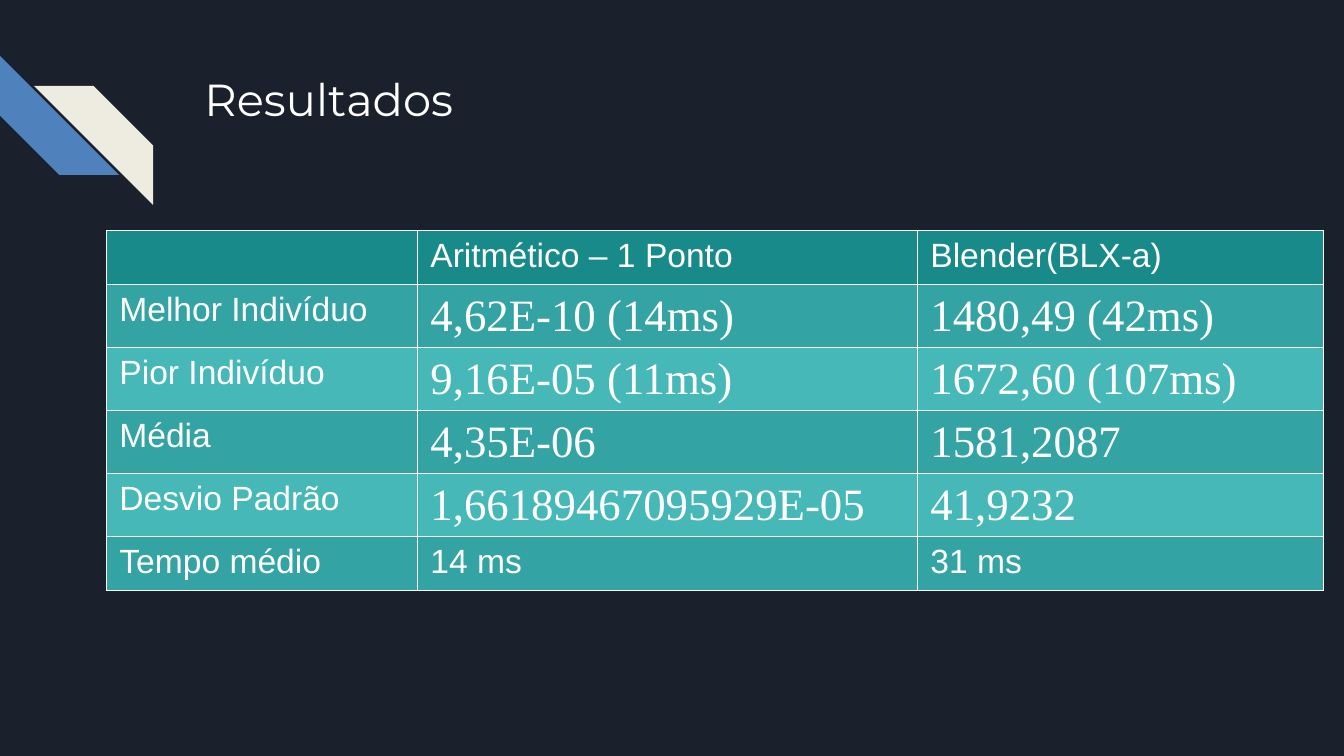
from lxml import etree
from pptx import Presentation
from pptx import util as u
from pptx.dml.color import RGBColor
from pptx.enum import shapes, text
from pptx.oxml.ns import qn

SCALE = 914400 / 134.4
WHITE = "FFFFFF"
HEADER, ODD, EVEN = "198A8A", "33A3A3", "47B8B8"
COLUMNS = [311, 500, 406]
HEIGHTS = [54, 63, 63, 63, 63, 54]
LABEL = {"size": u.Pt(18), "name": "Arial"}
FIGURE = {"size": u.Pt(24), "name": "Times New Roman"}
ROWS = [
    ["", "Aritmético – 1 Ponto", "Blender(BLX-a)"],
    ["Melhor Indivíduo", "4,62E-10 (14ms)", "1480,49 (42ms)"],
    ["Pior Indivíduo", "9,16E-05 (11ms)", "1672,60 (107ms)"],
    ["Média", "4,35E-06", "1581,2087"],
    ["Desvio Padrão", "1,66189467095929E-05", "41,9232"],
    ["Tempo médio", "14 ms", "31 ms"],
]


def px(length):
    """Turn picture pixels into EMU."""
    return u.Emu(round(length * SCALE))


def paint(fill, colour):
    """Give a fill one solid colour."""
    fill.solid()
    fill.fore_color.rgb = RGBColor.from_string(colour)


def assign(target, values):
    """Set attributes from a dict."""
    for name, value in values.items():
        setattr(target, name, value)


def write(para, words, style):
    """Add one white run in the given style."""
    span = para.add_run()
    span.text = words
    assign(span.font, {"bold": False, **style})
    span.font.color.rgb = RGBColor.from_string(WHITE)


def add_stripes(page, left, top):
    """Draw the two diagonal stripes of the corner ornament."""
    for dx, dy, turn, colour in [(0, 0, 270, "4F81BD"), (34, 30, 90, "EEECE1")]:
        stripe = page.shapes.add_shape(
            shapes.MSO_SHAPE.DIAGONAL_STRIPE,
            px(left + dx), px(top + dy), px(119), px(119))
        stripe.adjustments[0] = 0.5
        stripe.rotation = turn
        stripe.shadow.inherit = False
        paint(stripe.fill, colour)
        stripe.line.fill.background()


def add_title(page, words, left, top, width, height):
    """Place and format the title placeholder."""
    title = page.shapes.title
    assign(title, {"left": px(left), "top": px(top),
                   "width": px(width), "height": px(height)})
    frame = title.text_frame
    inset = u.Inches(0.1)
    assign(frame, {"margin_left": inset, "margin_right": inset,
                   "margin_top": inset, "margin_bottom": inset,
                   "word_wrap": True, "auto_size": text.MSO_AUTO_SIZE.NONE,
                   "vertical_anchor": text.MSO_ANCHOR.TOP})
    para = frame.paragraphs[0]
    para.alignment = text.PP_ALIGN.LEFT
    write(para, words, {"size": u.Pt(24), "name": "Montserrat"})


def add_borders(cell):
    """Draw hairline white borders on all four sides of a cell."""
    props = cell._tc.get_or_add_tcPr()
    for place, side in enumerate(["a:lnL", "a:lnR", "a:lnT", "a:lnB"]):
        line = etree.Element(qn(side), w="762")
        solid = etree.SubElement(line, qn("a:solidFill"))
        etree.SubElement(solid, qn("a:srgbClr"), val=WHITE)
        props.insert(place, line)


def add_results(page, left, top):
    """Build the results table from its top left corner."""
    table = page.shapes.add_table(
        len(ROWS), len(COLUMNS), px(left), px(top),
        px(sum(COLUMNS)), px(sum(HEIGHTS))).table
    assign(table, {"first_row": False, "horz_banding": False})
    for column, width in zip(table.columns, COLUMNS):
        column.width = px(width)
    for r, (row, height, entries) in enumerate(zip(table.rows, HEIGHTS, ROWS)):
        row.height = px(height)
        colour = HEADER if r == 0 else ODD if r % 2 else EVEN
        for c, (cell, words) in enumerate(zip(row.cells, entries)):
            paint(cell.fill, colour)
            add_borders(cell)
            if words:
                is_figure = c > 0 and 0 < r < len(ROWS) - 1
                write(cell.text_frame.paragraphs[0], words,
                      FIGURE if is_figure else LABEL)


def main():
    """Build and save the results slide."""
    deck = Presentation()
    assign(deck, {"slide_width": px(1344), "slide_height": px(756)})
    page = deck.slides.add_slide(deck.slide_layouts[5])
    paint(page.background.fill, "1B212C")
    add_stripes(page, 0, 56)
    add_title(page, "Resultados", 191, 58, 1035, 134)
    add_results(page, 106, 230)
    deck.save("out.pptx")


main()
